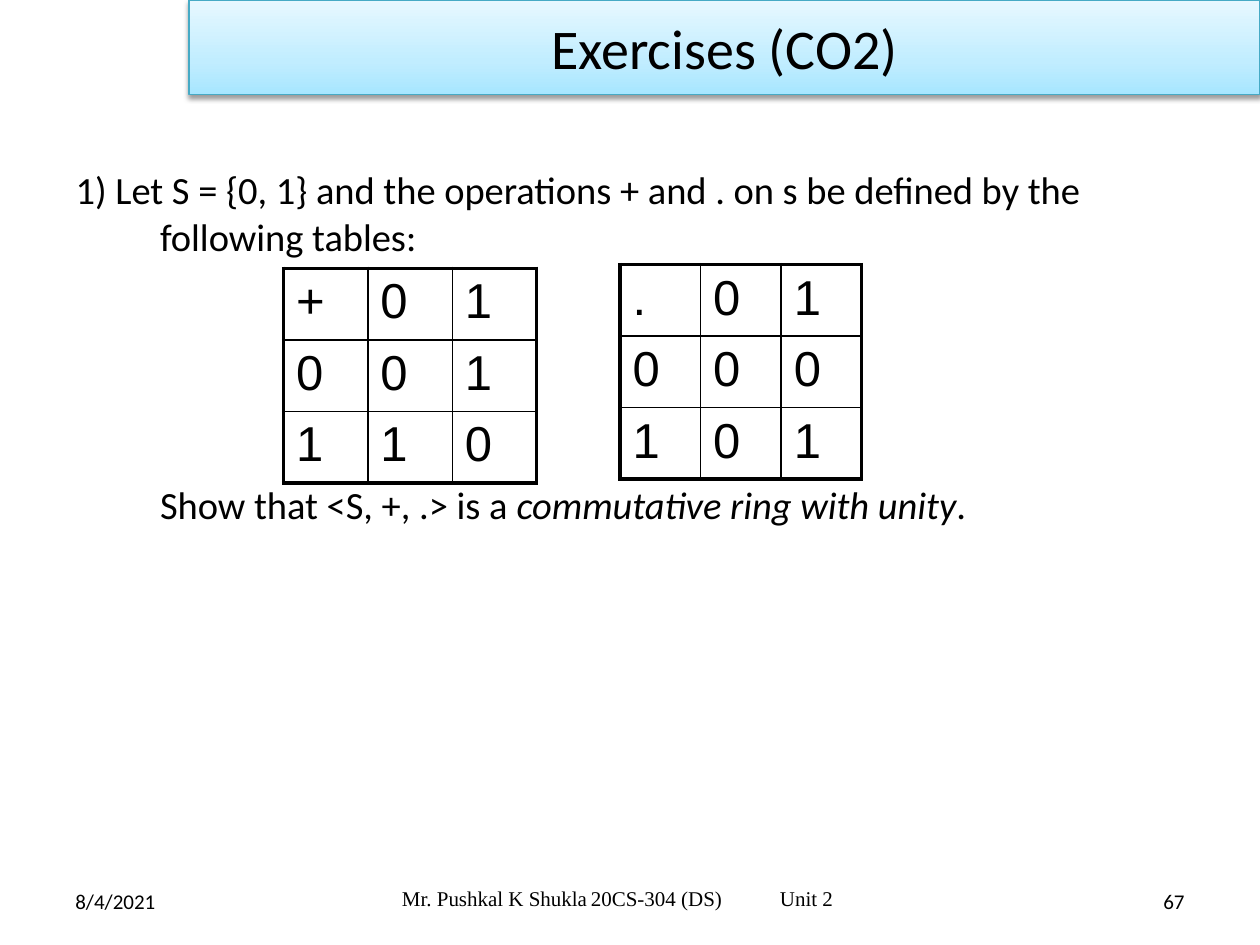
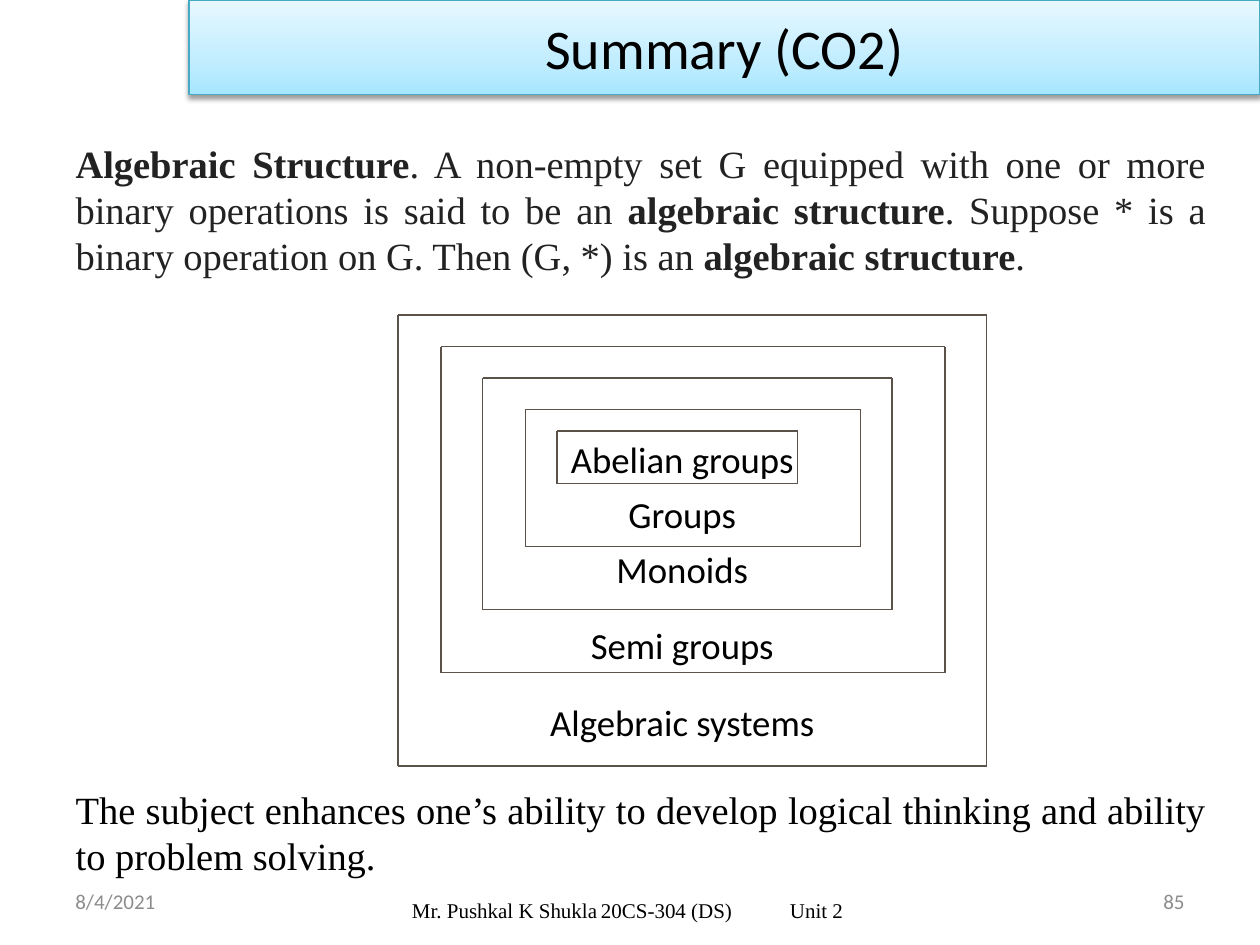
from lxml.etree import SubElement
from pptx import Presentation
from pptx.dml.color import RGBColor
from pptx.enum.shapes import MSO_CONNECTOR as Connector
from pptx.enum.text import MSO_ANCHOR as Anchor, MSO_AUTO_SIZE as AutoSize, PP_ALIGN as Align
from pptx.oxml import parse_xml
from pptx.oxml.ns import nsdecls, qn
from pptx.util import Inches, Pt

COLORS = {
    "ink": "000000",
    "text": "222222",
    "muted": "8C8C8C",
    "paper": "FFFFFF",
    "band_edge": "46AAC5",
    "frame": "5B5249",
}
BAND_STOPS = [(0, "A7E6FF"), (35, "C1EDFF"), (100, "E7F8FF")]
SANS, SERIF, GRID_FONT = "Calibri", "Times New Roman", "Arial"
DATE = "8/4/2021"
FOOTER = "Mr. Pushkal K Shukla\t20CS-304 (DS)\tUnit 2"


def rgb(name):
    return RGBColor.from_string(COLORS[name])


def write(frame, text, size=12, font=SANS, color="ink", align=Align.LEFT,
          before=0, spacing=None, margin=0, indent=0, tabs=(), first=True):
    para = frame.paragraphs[0] if first else frame.add_paragraph()
    para.alignment = align
    para.space_before = Pt(before)
    if spacing:
        para.line_spacing = spacing
    props = para._p.get_or_add_pPr()
    props.set("marL", str(Inches(margin)))
    props.set("indent", str(Inches(indent)))
    SubElement(props, qn("a:buNone"))
    if tabs:
        stops = SubElement(props, qn("a:tabLst"))
        for stop in tabs:
            SubElement(stops, qn("a:tab"), pos=str(Inches(stop)), algn="l")
    spans = [(text, "")] if isinstance(text, str) else text
    for words, style in spans:
        span = para.add_run()
        span.text = words
        span.font.name = font
        span.font.size = Pt(size)
        span.font.color.rgb = rgb(color)
        span.font.bold = style == "bold"
        span.font.italic = style == "italic"


class Deck:
    def __init__(self):
        self.deck = Presentation()
        self.deck.slide_width = Inches(10)
        self.deck.slide_height = Inches(7.5)
        self.page = None

    def add_page(self, title, number, meta_color, footer_at):
        self.page = self.deck.slides.add_slide(self.deck.slide_layouts[1])
        self.title_band(title)
        self.text_box(0.5, 6.95, 2.33, 0.4, DATE, color=meta_color)
        self.text_box(7.17, 6.95, 2.33, 0.4, number, color=meta_color, align=Align.RIGHT)
        footer = self.text_box(*footer_at, 5.5, 0.4, FOOTER, font=SERIF, tabs=(1.99, 3.7))
        footer.margin_left = Inches(0.69)

    def place(self, box, left, top, width, height):
        box.left, box.top = Inches(left), Inches(top)
        box.width, box.height = Inches(width), Inches(height)

    def title_band(self, text):
        band = self.page.shapes.title
        self.place(band, 1.5, 0, 8.5, 0.75)
        stops = "".join(
            f'<a:gs pos="{at * 1000}"><a:srgbClr val="{color}"/></a:gs>'
            for at, color in BAND_STOPS)
        band._element.spPr.append(parse_xml(
            f'<a:gradFill {nsdecls("a")} rotWithShape="1"><a:gsLst>{stops}</a:gsLst>'
            '<a:lin ang="16200000" scaled="0"/></a:gradFill>'))
        band.line.color.rgb = rgb("band_edge")
        band.line.width = Pt(0.75)
        band._element.spPr.append(parse_xml(
            f'<a:effectLst {nsdecls("a")}><a:outerShdw blurRad="{Pt(3.1)}" dist="{Pt(1.6)}" '
            'dir="5400000" rotWithShape="0"><a:srgbClr val="000000">'
            '<a:alpha val="38000"/></a:srgbClr></a:outerShdw></a:effectLst>'))
        frame = band.text_frame
        frame.auto_size = AutoSize.NONE
        frame.vertical_anchor = Anchor.MIDDLE
        write(frame, text, size=32, align=Align.CENTER)

    def body(self, left, top, width, height):
        box = self.page.placeholders[1]
        self.place(box, left, top, width, height)
        frame = box.text_frame
        frame.auto_size = AutoSize.NONE
        frame.vertical_anchor = Anchor.TOP
        return frame

    def text_box(self, left, top, width, height, text=None, anchor=Anchor.MIDDLE, **style):
        box = self.page.shapes.add_textbox(
            Inches(left), Inches(top), Inches(width), Inches(height))
        frame = box.text_frame
        frame.word_wrap = True
        frame.vertical_anchor = anchor
        if text:
            write(frame, text, **style)
        return frame

    def operation_table(self, left, top, column, row, rows):
        count = len(rows)
        table = self.page.shapes.add_table(
            count, count, Inches(left), Inches(top),
            Inches(column * count), Inches(row * count)).table
        table.first_row = table.horz_banding = False
        last = count - 1
        for i, values in enumerate(rows):
            table.rows[i].height = Inches(row)
            table.columns[i].width = Inches(column)
            for j, value in enumerate(values):
                cell = table.cell(i, j)
                outer = {"L": j == 0, "R": j == last, "T": i == 0, "B": i == last}
                self.cell_borders(cell, outer)
                cell.fill.solid()
                cell.fill.fore_color.rgb = rgb("paper")
                write(cell.text_frame, value, size=28, font=GRID_FONT)

    def cell_borders(self, cell, outer):
        props = cell._tc.get_or_add_tcPr()
        for side, is_outer in outer.items():
            width = Pt(2.25 if is_outer else 1)
            edge = SubElement(props, qn(f"a:ln{side}"), w=str(width))
            fill = SubElement(edge, qn("a:solidFill"))
            SubElement(fill, qn("a:srgbClr"), val=COLORS["ink"])

    def line(self, start, end):
        line = self.page.shapes.add_connector(
            Connector.STRAIGHT, *(Inches(value) for value in start + end))
        line.line.color.rgb = rgb("frame")
        line.line.width = Pt(0.75)
        SubElement(line._element.spPr, qn("a:effectLst"))

    def frame(self, left, top, right, bottom):
        corners = [(left, top), (right, top), (right, bottom), (left, bottom)]
        for start, end in zip(corners, corners[1:] + corners[:1]):
            self.line(start, end)

    def exercises(self):
        self.add_page("Exercises (CO2)", "67", "ink", (2.5, 6.93))
        body = self.body(0.5, 1.27, 9.08, 3.48)
        write(body, "1) Let S = {0, 1} and the operations + and . on s be defined by "
              "the following tables:", size=22, margin=0.67, indent=-0.67)
        write(body, [("Show that <S, +, .> is a ", ""),
                     ("commutative ring with unity", "italic"), (".", "")],
              size=22, margin=0.67, before=127, first=False)
        self.operation_table(2.25, 2.13, 0.67, 0.54, ["+01", "001", "110"])
        self.operation_table(4.92, 2.1, 0.64, 0.5, [".01", "000", "101"])

    def summary(self):
        self.add_page("Summary (CO2)", "85", "muted", (2.58, 7.02))
        body = self.body(0.5, 1.06, 9.17, 6.02)
        prose = dict(size=22, font=SERIF, align=Align.JUSTIFY, spacing=Pt(26.4))
        write(body, [
            ("Algebraic Structure", "bold"),
            (". A non-empty set G equipped with one or more binary operations "
             "is said to be an ", ""),
            ("algebraic structure", "bold"),
            (". Suppose * is a binary operation on G. Then (G, *) is an ", ""),
            ("algebraic structure", "bold"),
            (".", "")], color="text", **prose)
        write(body, "The subject enhances one’s ability to develop logical thinking "
              "and ability to problem solving.", before=290, first=False, **prose)

        nested_frames = [
            (4.42, 3.42, 6.33, 3.84),
            (4.17, 3.25, 6.83, 4.34),
            (3.83, 3, 7.08, 4.84),
            (3.5, 2.75, 7.5, 5.34),
            (3.16, 2.5, 7.83, 6.08),
        ]
        for edges in nested_frames:
            self.frame(*edges)

        labels = self.text_box(3.08, 3.42, 4.67, 2.91, anchor=Anchor.TOP)
        names = ["Abelian groups", "Groups", "Monoids", "Semi groups", "Algebraic systems"]
        for i, name in enumerate(names):
            write(labels, name, size=21, align=Align.CENTER, before=6 if i else 0,
                  spacing=1.5 if i > 2 else None, first=i == 0)


def main():
    lecture = Deck()
    lecture.exercises()
    lecture.summary()
    lecture.deck.save("out.pptx")


if __name__ == "__main__":
    main()
